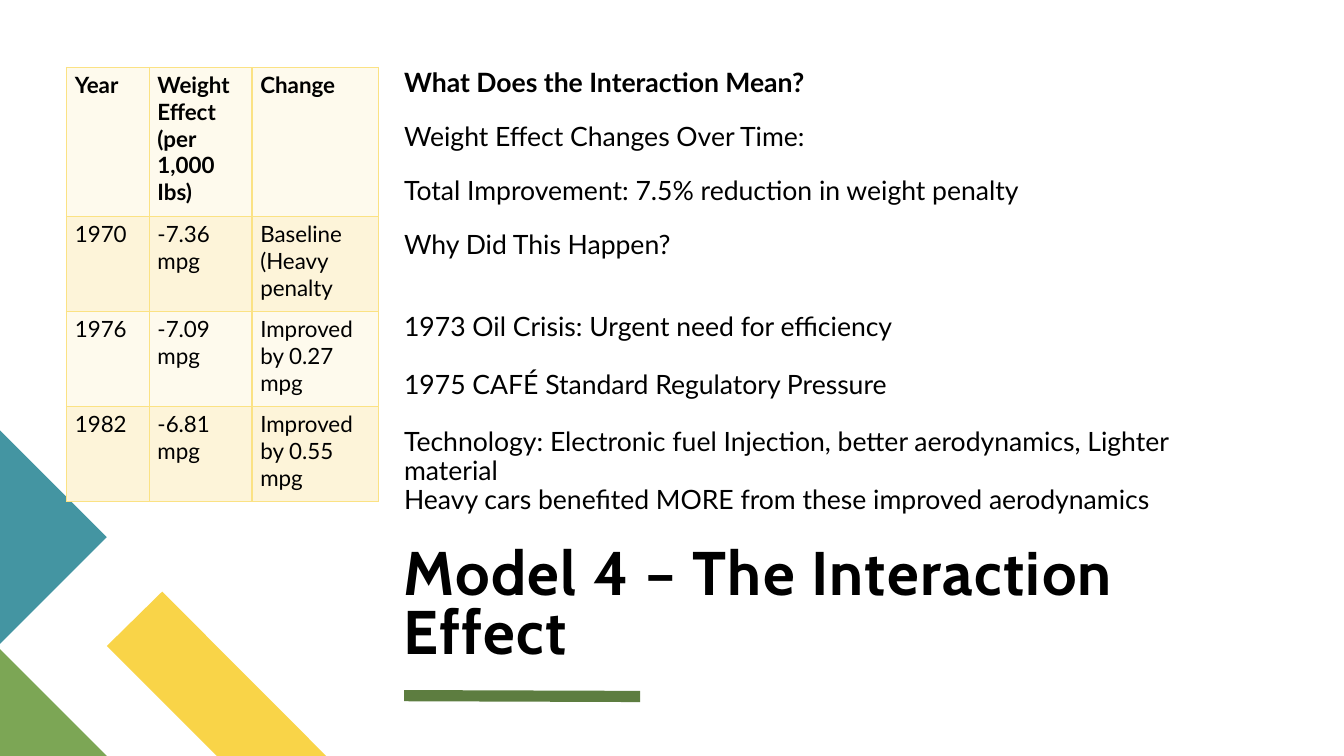
import dataclasses

import pptx
import pptx.dml.color
import pptx.enum.shapes
import pptx.enum.text
import pptx.oxml.ns
import pptx.util
from lxml import etree

Pt = pptx.util.Pt
qn = pptx.oxml.ns.qn


@dataclasses.dataclass(frozen=True)
class Theme:
    text: str = "000000"
    teal: str = "4495A2"
    green: str = "7CA655"
    yellow: str = "F9D448"
    accent_line: str = "5D7D40"
    table_border: str = "FBE284"
    table_bands: tuple = ("FEFAED", "FDF4D9")
    heading_font: str = "Cabin"
    body_font: str = "Lato"
    title_size: float = 44
    body_size: float = 19
    table_size: float = 16


@dataclasses.dataclass(frozen=True)
class Box:
    left: float
    top: float
    width: float
    height: float

    def lengths(self):
        return Pt(self.left), Pt(self.top), Pt(self.width), Pt(self.height)


THEME = Theme()
SLIDE_BOX = Box(0, 0, 960, 540)

EFFECT_ROWS = [
    ("Year", "Weight Effect (per 1,000 Ibs)", "Change"),
    ("1970", "-7.36 mpg", "Baseline (Heavy penalty"),
    ("1976", "-7.09 mpg", "Improved by 0.27 mpg"),
    ("1982", "-6.81 mpg", "Improved by 0.55 mpg"),
]
COLUMN_SHARES = (0.265, 0.33, 0.405)
HEADER_SHARE = 0.344

# Each entry is a paragraph and the space before it
EXPLANATION = [
    ("What Does the Interaction Mean?", 0),
    ("Weight Effect Changes Over Time:", 18),
    ("Total Improvement: 7.5% reduction in weight penalty", 18),
    ("Why Did This Happen?", 18),
    ("1973 Oil Crisis: Urgent need for efficiency", 38.5),
    ("1975 CAFÉ Standard Regulatory Pressure", 20.5),
    ("Technology: Electronic fuel Injection, better aerodynamics, Lighter material", 20.5),
    ("Heavy cars benefited MORE from these improved aerodynamics", 0),
]


def rgb(color):
    return pptx.dml.color.RGBColor.from_string(color)


def add_run(paragraph, text, font_name, size, bold=False):
    run = paragraph.add_run()
    run.text = text
    run.font.name = font_name
    run.font.size = Pt(size)
    run.font.bold = bold
    run.font.color.rgb = rgb(THEME.text)
    return run


def set_margins(target, left, top, right, bottom):
    target.margin_left, target.margin_top = Pt(left), Pt(top)
    target.margin_right, target.margin_bottom = Pt(right), Pt(bottom)


def add_text_frame(slide, box, margins):
    frame = slide.shapes.add_textbox(*box.lengths()).text_frame
    frame.word_wrap = True
    set_margins(frame, *margins)
    return frame


def add_corner_shapes(slide, box):
    """Draw the three coloured shapes in the lower left corner of the box."""
    left, bottom = box.left, box.top + box.height
    side = 76.3
    outlines = [
        (THEME.yellow, [(233, 0), (155, 0), (side, 78.5), (115.9, 117.4)]),
        (THEME.green, [(side, 0), (0, 0), (0, side)]),
        (THEME.teal, [(0, 80), (side, 80 + side), (0, 80 + 2 * side)]),
    ]
    for color, offsets in outlines:
        points = [(Pt(left + x), Pt(bottom - up)) for x, up in offsets]
        builder = slide.shapes.build_freeform(*points[0])
        builder.add_line_segments(points[1:], close=True)
        shape = builder.convert_to_shape()
        shape.shadow.inherit = False
        shape.fill.solid()
        shape.fill.fore_color.rgb = rgb(color)
        shape.line.fill.background()


def add_title(slide, box):
    """Place the title at the bottom of the box and its rule below."""
    frame = add_text_frame(slide, box, (0, 0, 0, 0))
    frame.vertical_anchor = pptx.enum.text.MSO_ANCHOR.BOTTOM
    paragraph = frame.paragraphs[0]
    paragraph.line_spacing = 0.8
    run = add_run(paragraph, "Model 4 – The Interaction Effect",
                  THEME.heading_font, THEME.title_size, bold=True)
    run.font._element.set("spc", "100")

    rule_top = box.top + box.height + 21
    rule = slide.shapes.add_connector(
        pptx.enum.shapes.MSO_CONNECTOR.STRAIGHT,
        Pt(box.left + 0.7), Pt(rule_top), Pt(box.left + 169.2), Pt(rule_top + 0.6))
    rule.line.color.rgb = rgb(THEME.accent_line)
    rule.line.width = Pt(8)
    etree.SubElement(rule._element.spPr, qn("a:effectLst"))


def add_explanation(slide, box):
    frame = add_text_frame(slide, box, (0, 3.6, 7.2, 3.6))
    for index, (text, space_before) in enumerate(EXPLANATION):
        paragraph = frame.add_paragraph() if index else frame.paragraphs[0]
        paragraph.line_spacing = 0.9
        if index:
            paragraph.space_before = Pt(space_before)
        add_run(paragraph, text, THEME.body_font, THEME.body_size, bold=index == 0)


def add_cell_borders(cell):
    properties = cell._tc.get_or_add_tcPr()
    for side in ("L", "R", "T", "B"):
        line = etree.SubElement(properties, qn(f"a:ln{side}"), w=str(Pt(1)))
        fill = etree.SubElement(line, qn("a:solidFill"))
        etree.SubElement(fill, qn("a:srgbClr"), val=THEME.table_border)


def add_effect_table(slide, box):
    table = slide.shapes.add_table(
        len(EFFECT_ROWS), len(COLUMN_SHARES), *box.lengths()).table
    table.first_row = False
    table.horz_banding = False
    for column, share in zip(table.columns, COLUMN_SHARES):
        column.width = Pt(box.width * share)
    body_share = (1 - HEADER_SHARE) / (len(EFFECT_ROWS) - 1)
    for row_index, texts in enumerate(EFFECT_ROWS):
        share = body_share if row_index else HEADER_SHARE
        table.rows[row_index].height = Pt(box.height * share)
        for column_index, text in enumerate(texts):
            cell = table.cell(row_index, column_index)
            set_margins(cell, 6, 3, 6, 3)
            add_cell_borders(cell)
            cell.fill.solid()
            cell.fill.fore_color.rgb = rgb(THEME.table_bands[row_index % 2])
            add_run(cell.text_frame.paragraphs[0], text,
                    THEME.body_font, THEME.table_size, bold=row_index == 0)


def main():
    presentation = pptx.Presentation()
    presentation.slide_width = Pt(SLIDE_BOX.width)
    presentation.slide_height = Pt(SLIDE_BOX.height)
    slide = presentation.slides.add_slide(presentation.slide_layouts[6])
    add_corner_shapes(slide, SLIDE_BOX)
    add_title(slide, Box(288, 367.2, 625, 108.7))
    add_explanation(slide, Box(288.7, 46, 624.3, 314.6))
    add_effect_table(slide, Box(47.5, 48.2, 222.7, 310))
    presentation.save("out.pptx")


if __name__ == "__main__":
    main()
